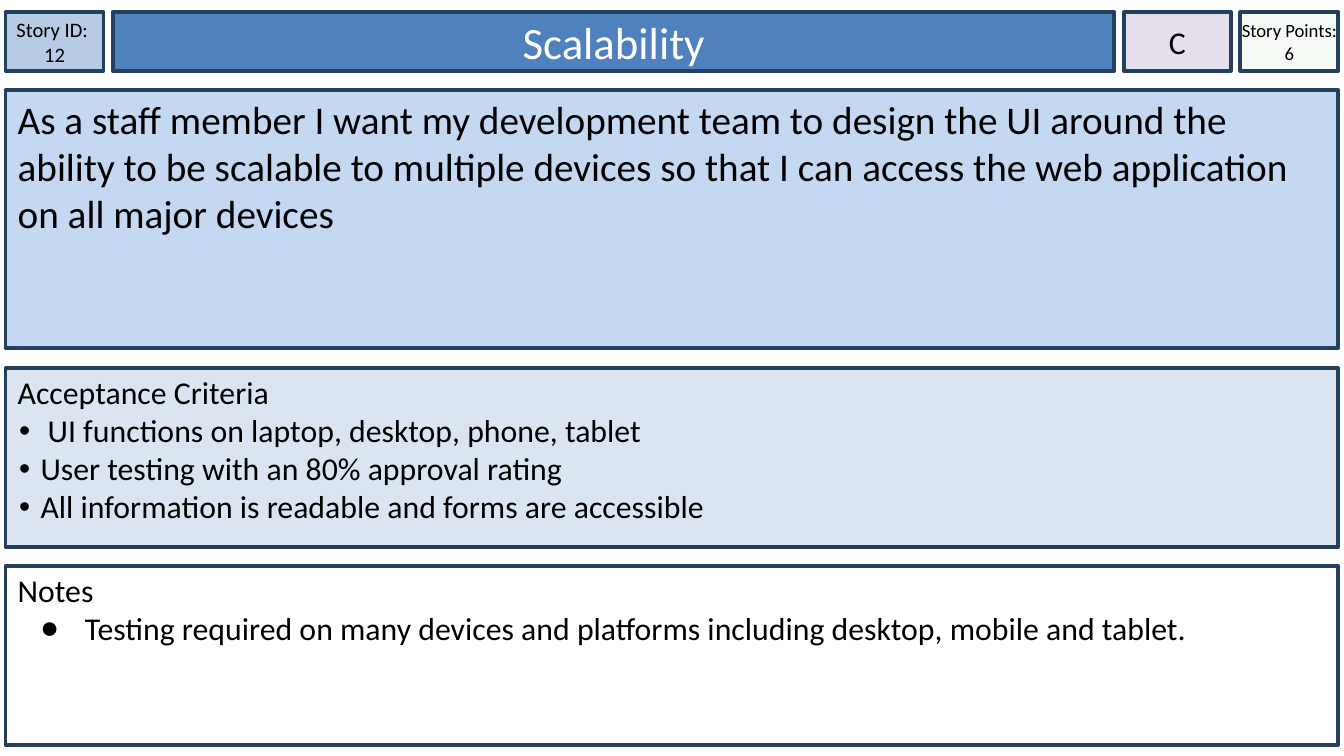
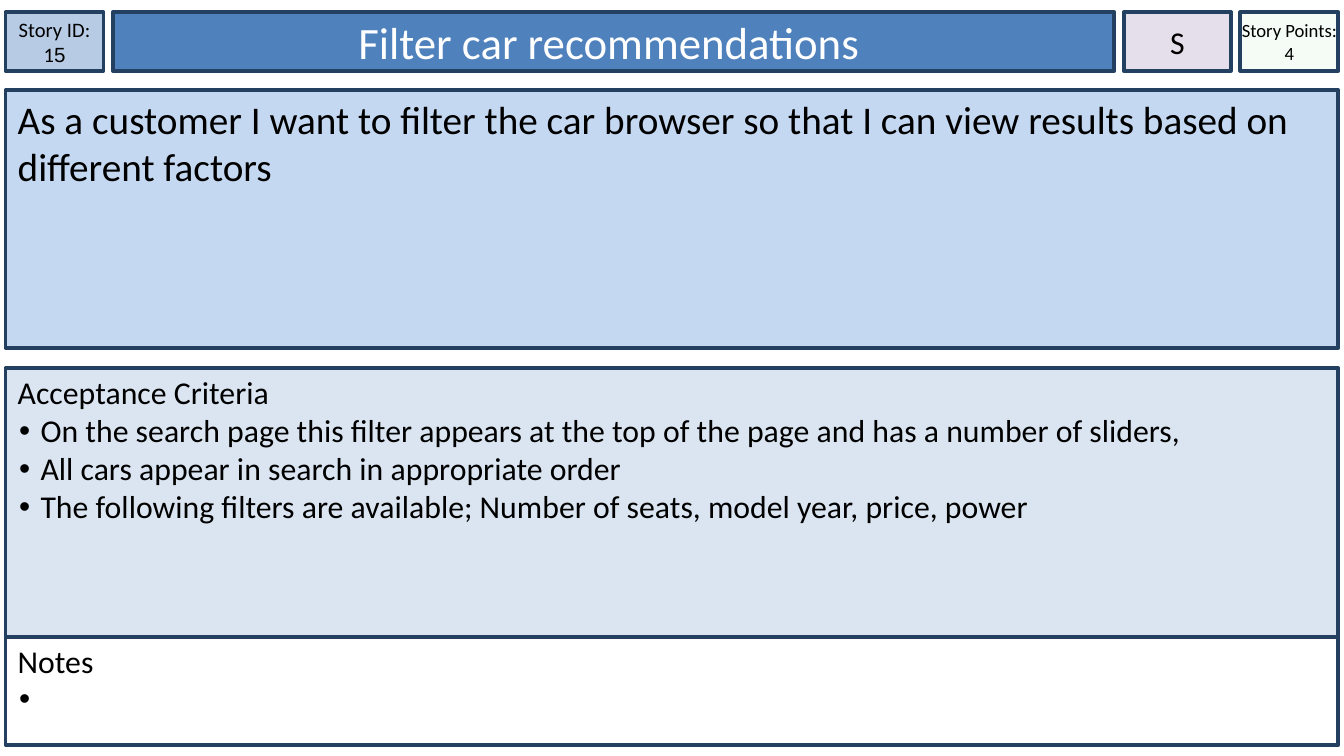
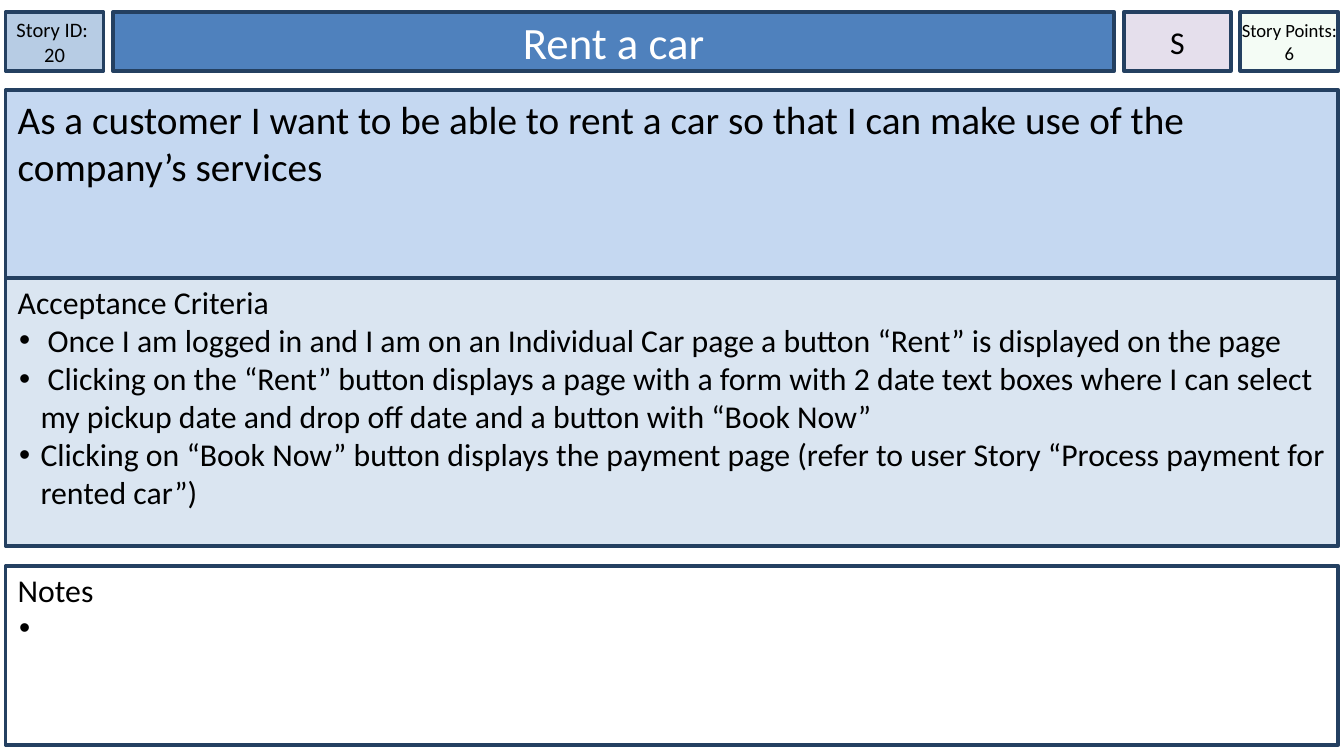
from lxml.etree import SubElement as Sub
from pptx import Presentation
from pptx.dml.color import RGBColor
from pptx.enum.shapes import MSO_SHAPE as Form
from pptx.enum.text import MSO_ANCHOR as Anchor, MSO_AUTO_SIZE as Auto, PP_ALIGN as Align
from pptx.oxml.ns import qn
from pptx.util import Pt

# Colours
NAVY = RGBColor(0x24, 0x40, 0x61)
BLUE = RGBColor(0x4F, 0x81, 0xBD)
STEEL = RGBColor(0xB7, 0xCC, 0xE4)
SKY = RGBColor(0xC5, 0xD8, 0xF1)
PALE = RGBColor(0xDA, 0xE5, 0xF1)
LILAC = RGBColor(0xE5, 0xDF, 0xEC)
MINT = RGBColor(0xCC, 0xF0, 0xCD)
WHITE = RGBColor(0xFF, 0xFF, 0xFF)
BLACK = RGBColor(0x00, 0x00, 0x00)

# Shared layout, in points
LEFT, WIDE, BASE = 3, 714, 399
TOP, HIGH, GAP = 6.5, 31.5, 5
BODY = 48.25
DOT = ("•", 12.25, -11.5)
DISC = ("●", 36, -24)

# Stories: "ends" holds the story bottom, criteria top and bottom, notes top
STORIES = [
    dict(num=["Story ID: ", "12"], tail="", title="Scalability", rank="C", points=6,
         ends=(186.5, 197.25, 293, 303.25),
         story="As a staff member I want my development team to design the UI around "
               "the ability to be scalable to multiple devices so that I can access "
               "the web application on all major devices",
         tests=[" UI functions on laptop, desktop, phone, tablet",
                "User testing with an 80% approval rating",
                "All information is readable and forms are accessible"],
         note="Testing required on many devices and platforms including desktop, "
              "mobile and tablet.", mark=DISC),
    dict(num=["Story ID: 1"], tail="5", title="Filter car recommendations ", rank="S",
         points=4, ends=(186.5, 197.25, 341.25, 341.25),
         story="As a customer I want to filter the car browser so that I can view "
               "results based on different factors",
         tests=["On the search page this filter appears at the top of the page and "
                "has a number of sliders,",
                "All cars appear in search in appropriate order",
                "The following filters are available; Number of seats, model year, "
                "price, power"],
         note=" ", mark=DOT),
    dict(num=["Story ID: ", "20"], tail="", title="Rent a car", rank="S", points=6,
         ends=(149, 149, 292.5, 303.25),
         story="As a customer I want to be able to rent a car so that I can make use "
               "of the company’s services",
         tests=[" Once I am logged in and I am on an Individual Car page a button "
                "“Rent” is displayed on the page",
                " Clicking on the “Rent” button displays a page with a form with 2 "
                "date text boxes where I can select my pickup date and drop off date "
                "and a button with “Book Now”",
                "Clicking on “Book Now” button displays the payment page (refer to "
                "user Story “Process payment for rented car”)"],
         note=" ", mark=DOT),
]


def write(frame, text, size=17, color=BLACK, font="Calibri", align=Align.LEFT,
          mark=None, fresh=True):
    para = frame.paragraphs[0] if fresh else frame.add_paragraph()
    para.alignment = align
    if mark:
        sign, inset, hang = mark
        props = para._p.get_or_add_pPr()
        props.set("marL", str(Pt(inset)))
        props.set("indent", str(Pt(hang)))
        Sub(Sub(props, qn("a:buClr")), qn("a:srgbClr"), val=str(BLACK))
        Sub(props, qn("a:buFont"), typeface="Arial")
        Sub(props, qn("a:buChar"), char=sign)
    run = para.add_run()
    run.text = text
    run.font.name, run.font.size, run.font.color.rgb = font, Pt(size), color
    return para


def card(slide, left, top, wide, high, fill, side=6.5, head=3, mid=False, box=None):
    if box is None:
        box = slide.shapes.add_shape(Form.RECTANGLE, 0, 0, 0, 0)
        box.shadow.inherit = False
    box.left, box.top, box.width, box.height = Pt(left), Pt(top), Pt(wide), Pt(high)
    box.fill.solid()
    box.fill.fore_color.rgb = fill
    box.line.color.rgb = NAVY
    box.line.width = Pt(2)
    frame = box.text_frame
    frame.word_wrap, frame.auto_size = True, Auto.NONE
    frame.margin_left = frame.margin_right = Pt(side)
    frame.margin_top, frame.margin_bottom = Pt(head), Pt(3)
    frame.vertical_anchor = Anchor.MIDDLE if mid else Anchor.TOP
    return box


deck = Presentation()
deck.slide_width, deck.slide_height = Pt(720), Pt(405)

for item in STORIES:
    slide = deck.slides.add_slide(deck.slide_layouts[5])

    # Top row: number, title, rank, points
    row, left = [], LEFT
    for wide, fill, side, box in [(52.5, STEEL, 0, None),
                                  (536.5, BLUE, 6.5, slide.shapes.title),
                                  (57.5, LILAC, 0, None), (52.5, MINT, 0, None)]:
        row.append(card(slide, left, TOP, wide, HIGH, fill, side, mid=True, box=box))
        left += wide + GAP
    tag, name, rank, score = row

    for i, line in enumerate(item["num"]):
        para = write(tag.text_frame, line, size=11, align=Align.CENTER, fresh=i == 0)
    if item["tail"]:
        run = para.add_run()
        run.text = item["tail"]
        run.font.name, run.font.size, run.font.color.rgb = "Arial", Pt(11), BLACK
    write(name.text_frame, item["title"], size=24, color=WHITE, align=Align.CENTER)
    write(rank.text_frame, item["rank"], align=Align.CENTER)
    write(score.text_frame, f"Story Points: {item['points']}", size=10,
          align=Align.CENTER)
    tint = score.fill._xPr.find(qn("a:solidFill"))[0]
    Sub(tint, qn("a:alpha"), val="20000")

    # Story
    end, top, foot, last = item["ends"]
    box = card(slide, LEFT, BODY, WIDE, end - BODY, SKY)
    write(box.text_frame, item["story"], size=21)

    # Criteria and notes
    for head, lines, mark, start, stop, fill in [
            ("Acceptance Criteria", item["tests"], DOT, top, foot, PALE),
            ("Notes", [item["note"]], item["mark"], last, BASE, WHITE)]:
        box = card(slide, LEFT, start, WIDE, stop - start, fill, head=2.5)
        write(box.text_frame, head)
        for line in lines:
            write(box.text_frame, line, mark=mark, fresh=False)

deck.save("out.pptx")
